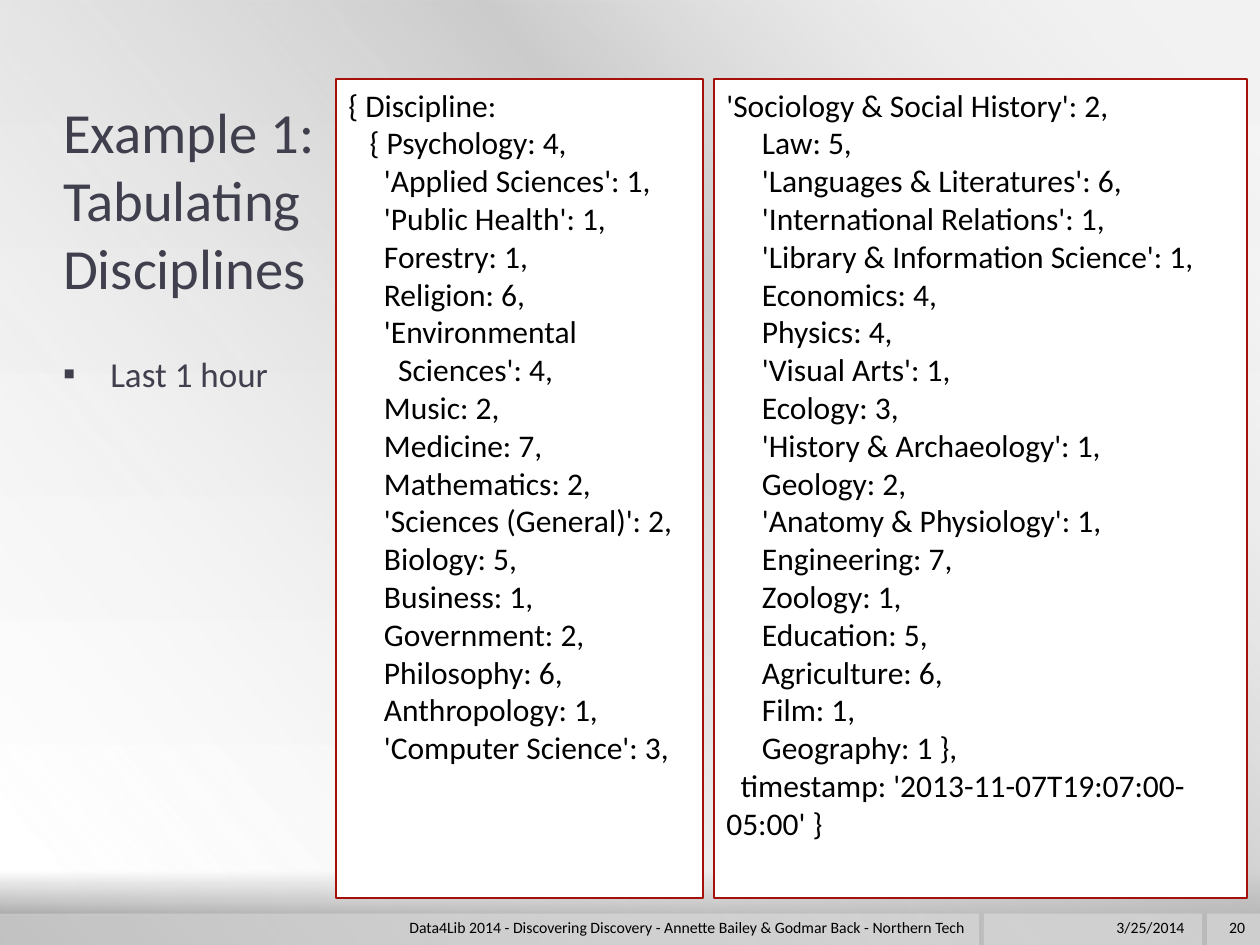
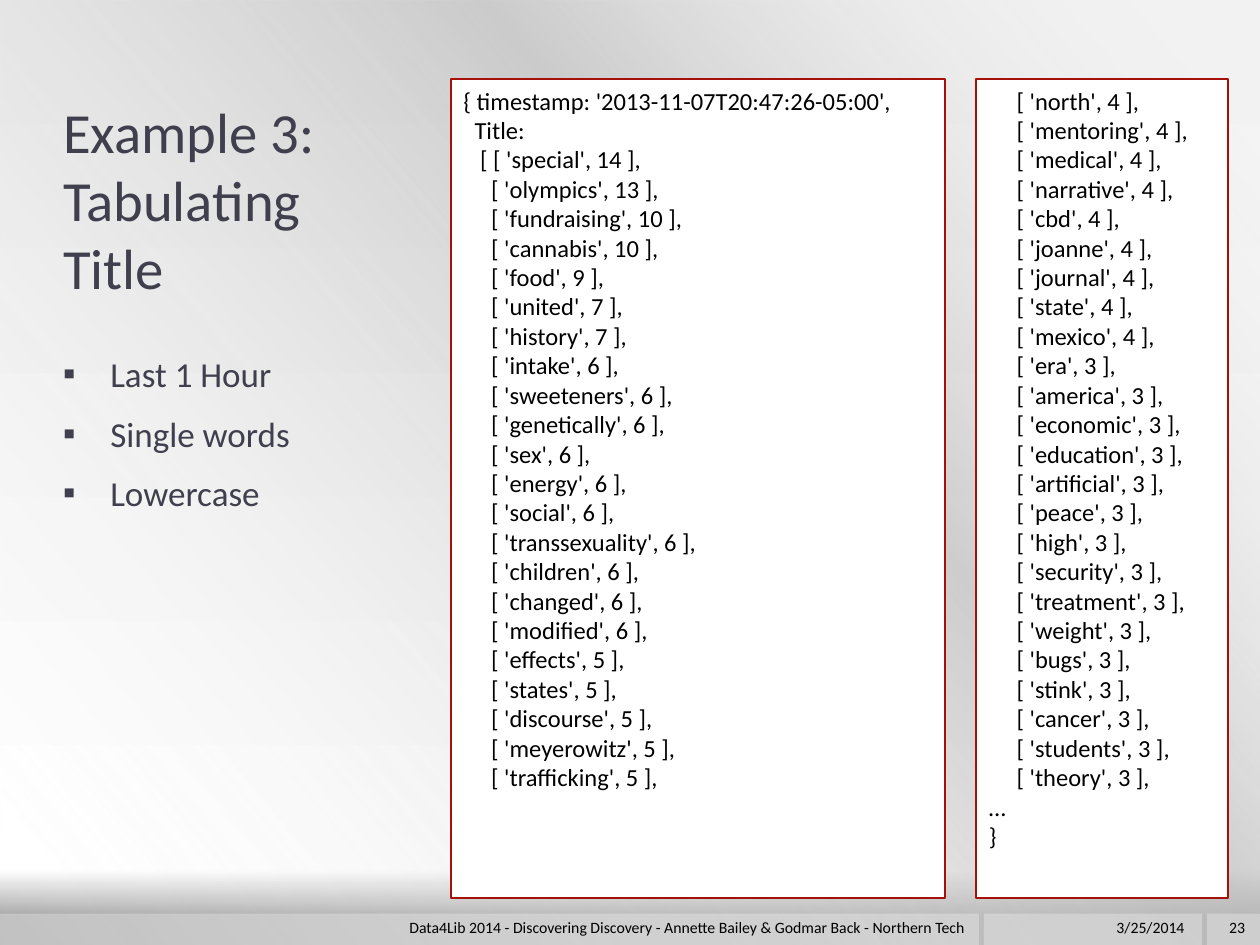
from lxml.etree import SubElement
from pptx import Presentation
from pptx.dml.color import RGBColor
from pptx.enum.shapes import MSO_SHAPE as Preset
from pptx.enum.text import MSO_ANCHOR as Anchor, MSO_AUTO_SIZE as AutoSize, PP_ALIGN as Align
from pptx.oxml.ns import qn
from pptx.util import Pt

COLORS = {
    "text": "000000", "heading": "3F3F4D", "panel": "FFFFFF", "border": "A51009",
    "band": "FFFFFF", "light": "F2F2F2", "clear": "FFFFFF", "gray": "BFBFBF", "floor": "A7A7A7",
}
FONT = "Calibri"
SPACE_WIDTH = 0.226
PAGE = (0, 0, 720, 540)
TITLE_BOX = (36, 77.76, 648, 72)
LIST_BOX = (36, 198, 648, 284.4)
BAND_TOP, BAND_HEIGHT = 522, 18
BANDS = ((0, 559.44), (562.32, 124.56), (689.76, 30.24))
FOOTER_TOP = 520.56
FOOTER_TEXT = "Data4Lib 2014 - Discovering Discovery - Annette Bailey & Godmar Back - Northern Tech"
DATE = "3/25/2014"
PANEL_TOP, PANEL_HEIGHT = 45.36, 468

DISCIPLINES_START = """\
{ Discipline:
   { Psychology: 4,
     'Applied Sciences': 1,
     'Public Health': 1,
     Forestry: 1,
     Religion: 6,
     'Environmental
       Sciences': 4,
     Music: 2,
     Medicine: 7,
     Mathematics: 2,
     'Sciences (General)': 2,
     Biology: 5,
     Business: 1,
     Government: 2,
     Philosophy: 6,
     Anthropology: 1,
     'Computer Science': 3,"""

DISCIPLINES_END = """\
'Sociology & Social History': 2,
     Law: 5,
     'Languages & Literatures': 6,
     'International Relations': 1,
     'Library & Information Science': 1,
     Economics: 4,
     Physics: 4,
     'Visual Arts': 1,
     Ecology: 3,
     'History & Archaeology': 1,
     Geology: 2,
     'Anatomy & Physiology': 1,
     Engineering: 7,
     Zoology: 1,
     Education: 5,
     Agriculture: 6,
     Film: 1,
     Geography: 1 },
  timestamp: '2013-11-07T19:07:00-05:00' }"""

FREQUENT_WORDS = {
    13: "olympics", 10: "fundraising cannabis", 9: "food", 7: "united history",
    6: "intake sweeteners genetically sex energy social transsexuality children changed modified",
    5: "effects states discourse meyerowitz trafficking",
}
RARER_WORDS = {
    4: "north mentoring medical narrative cbd joanne journal state mexico",
    3: "era america economic education artificial peace high security treatment weight "
       "bugs stink cancer students theory",
}


def word_rows(words_by_count):
    """Return one indented code line for each counted word."""
    return [f"     [ '{word}', {count} ],"
            for count, words in words_by_count.items() for word in words.split()]


def points(*lengths):
    """Convert numbers to point lengths."""
    return [Pt(length) for length in lengths]


def rgb(color):
    """Look up a named colour."""
    return RGBColor.from_string(COLORS[color])


def write(frame, lines, size, color="text", align=Align.LEFT, anchor=Anchor.TOP,
          side_inset=7.2, bullet=None, code=False):
    """Fill a text frame with one formatted paragraph for each line."""
    frame.word_wrap = True
    frame.auto_size = AutoSize.NONE
    frame.vertical_anchor = anchor
    frame.margin_left = frame.margin_right = Pt(side_inset)
    frame.margin_top = frame.margin_bottom = Pt(3.6)
    for number, line in enumerate(lines):
        paragraph = frame.add_paragraph() if number else frame.paragraphs[0]
        paragraph.alignment = align
        run = paragraph.add_run()
        run.text = line.lstrip()
        run.font.name, run.font.size = FONT, Pt(size)
        run.font.color.rgb = rgb(color)
        properties = paragraph._p.get_or_add_pPr()
        if code:
            depth = len(line) - len(line.lstrip())
            properties.set("marL", "0")
            properties.set("indent", str(Pt(round(depth * SPACE_WIDTH * size, 2))))
        if bullet:
            paragraph.space_before, paragraph.space_after = points(4, 6)
            properties.set("marL", str(Pt(27)))
            properties.set("indent", str(Pt(-27)))
            SubElement(properties, qn("a:buFont"), typeface=FONT)
            SubElement(properties, qn("a:buChar"), char=bullet)


def add_color(parent, color, alpha=100):
    """Append a colour with its opacity in percent."""
    node = SubElement(parent, qn("a:srgbClr"), val=COLORS[color])
    if alpha < 100:
        SubElement(node, qn("a:alpha"), val=str(alpha * 1000))


def make_gradient(element, stops, angle):
    """Turn the first solid fill of an element into a linear gradient."""
    solid = next(element.iter(qn("a:solidFill")))
    gradient = SubElement(solid.getparent(), qn("a:gradFill"), rotWithShape="1")
    stop_list = SubElement(gradient, qn("a:gsLst"))
    for position, color, alpha in stops:
        add_color(SubElement(stop_list, qn("a:gs"), pos=str(position * 1000)), color, alpha)
    SubElement(gradient, qn("a:lin"), ang=str(angle * 60000), scaled="0")
    solid.getparent().replace(solid, gradient)


def add_rectangle(slide, box, color, border=None):
    """Add a flat rectangle, with a thin border if one is named."""
    rectangle = slide.shapes.add_shape(Preset.RECTANGLE, *points(*box))
    rectangle.shadow.inherit = False
    rectangle.fill.solid()
    rectangle.fill.fore_color.rgb = rgb(color)
    if border:
        rectangle.line.color.rgb = rgb(border)
        rectangle.line.width = Pt(1.1)
    else:
        rectangle.line.fill.background()
    return rectangle


def dress_layout(layout, slide):
    """Give the layout its background, sheen and footer bands, drawn through a slide."""
    layout.background.fill.solid()
    layout.background.fill.fore_color.rgb = rgb("light")
    make_gradient(layout.element, ((0, "light", 100), (92, "clear", 0), (97, "floor", 100)), 90)
    sheen = add_rectangle(slide, PAGE, "clear")
    make_gradient(sheen.element, ((0, "clear", 0), (34, "gray", 61),
                                  (38, "gray", 76), (100, "clear", 0)), 140)
    layout.shapes.element.append(sheen.element)
    for left, width in BANDS:
        band = add_rectangle(slide, (left, BAND_TOP, width, BAND_HEIGHT), "band")
        solid = next(band.element.iter(qn("a:solidFill")))
        solid.remove(solid[0])
        add_color(solid, "band", 30)
        layout.shapes.element.append(band.element)


def place(placeholder, box):
    """Move a placeholder to a box."""
    placeholder.left, placeholder.top, placeholder.width, placeholder.height = points(*box)
    return placeholder.text_frame


def add_footer(slide, number):
    """Add the footer line, date and slide number."""
    for text, left, width in ((DATE, 563.76, 120.24), (number, 688.32, 30.24),
                              (FOOTER_TEXT, 36, 522)):
        footer = slide.shapes.add_textbox(*points(left, FOOTER_TOP, width, BAND_HEIGHT))
        write(footer.text_frame, [text], 9, align=Align.RIGHT, anchor=Anchor.MIDDLE)


def add_code_panel(slide, box, lines, size):
    """Add a bordered panel of indented code lines."""
    panel = add_rectangle(slide, box, "panel", "border")
    write(panel.text_frame, lines, size, code=True)


def fill_example(slide, number, title, notes, code_size, panels):
    """Fill an example slide: title, notes, footer and code panels."""
    write(place(slide.shapes.title, TITLE_BOX), title, 32.4, color="heading",
          anchor=Anchor.MIDDLE, side_inset=0)
    write(place(slide.placeholders[1], LIST_BOX), notes, 20, color="heading",
          side_inset=0, bullet="▪")
    add_footer(slide, number)
    for left, width, lines in panels:
        add_code_panel(slide, (left, PANEL_TOP, width, PANEL_HEIGHT), lines, code_size)


def main():
    """Build and save the two example slides."""
    deck = Presentation()
    deck.slide_width, deck.slide_height = points(*PAGE[2:])
    layout = deck.slide_layouts[1]
    disciplines, titles = (deck.slides.add_slide(layout) for _ in range(2))
    dress_layout(layout, disciplines)
    fill_example(disciplines, "20", ["Example 1:", "Tabulating", "Disciplines"],
                 ["Last 1 hour"], 18,
                 ((192, 210, DISCIPLINES_START.splitlines()),
                  (408, 304.56, DISCIPLINES_END.splitlines())))
    opening = ["{ timestamp: '2013-11-07T20:47:26-05:00',", "  Title:", "   [ [ 'special', 14 ],"]
    fill_example(titles, "23", ["Example 3:", "Tabulating", "Title"],
                 ["Last 1 Hour", "Single words", "Lowercase"], 14,
                 ((257.76, 282.24, opening + word_rows(FREQUENT_WORDS)),
                  (558, 144, word_rows(RARER_WORDS) + ["…", "}"])))
    deck.save("out.pptx")


if __name__ == "__main__":
    main()
